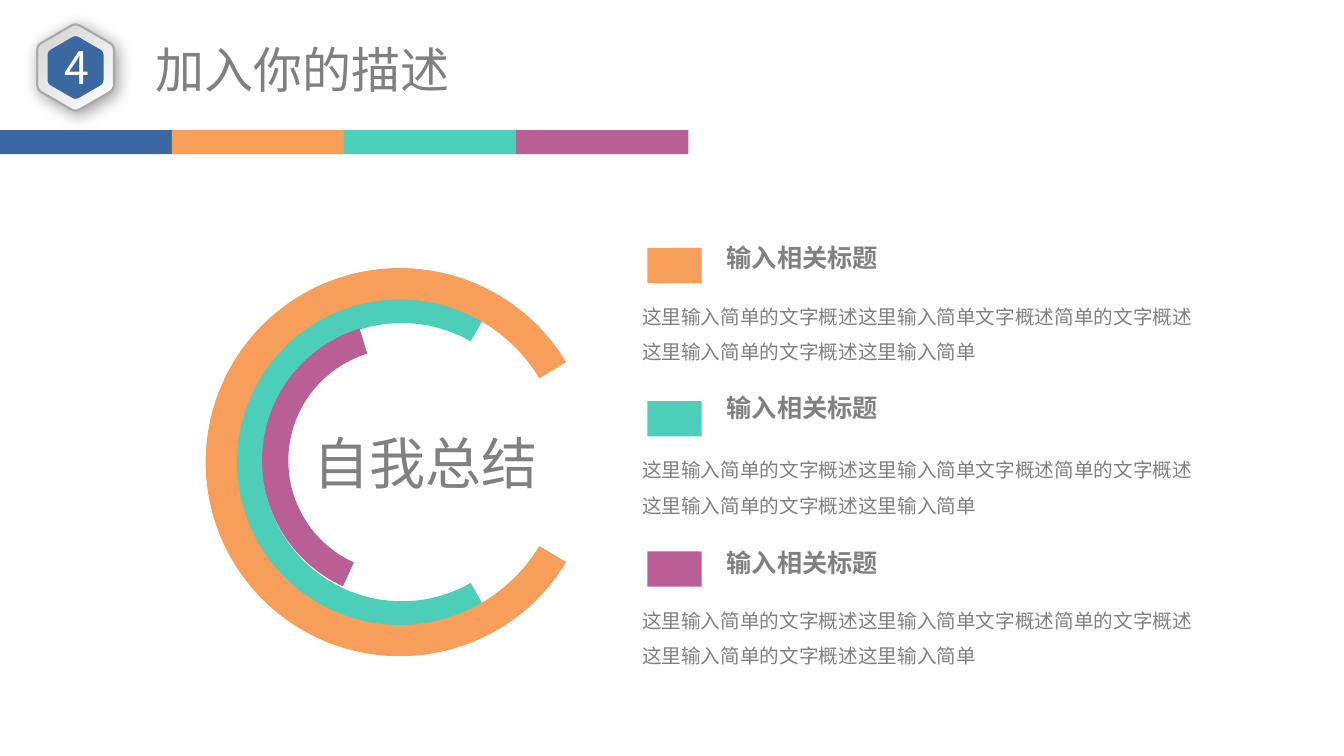
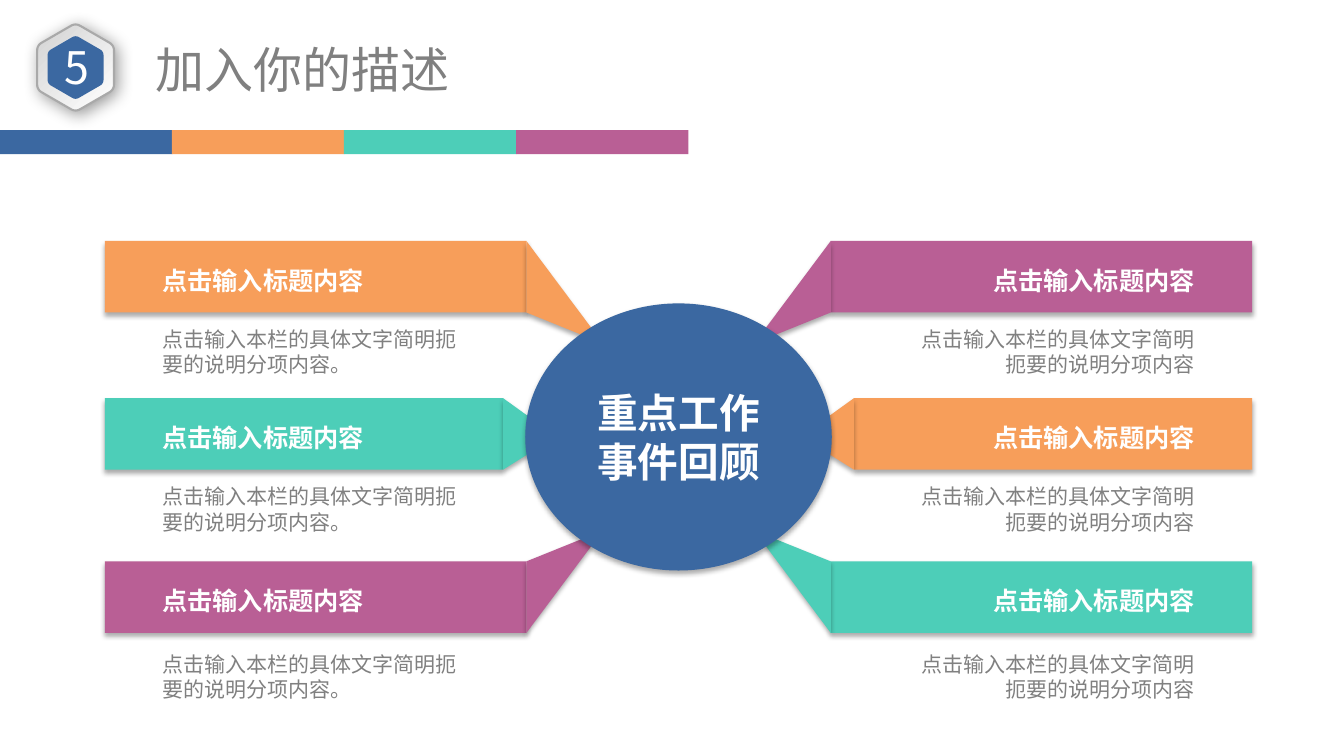
import math
from lxml import etree
from pptx import Presentation
from pptx.dml.color import RGBColor
from pptx.enum import shapes, text
from pptx.oxml.ns import qn
from pptx.util import Inches, Pt

BLUE, ORANGE, TEAL, PURPLE = "3B68A1", "F79E5A", "4DCEB8", "B95F95"
GREY, WHITE = "808080", "FFFFFF"
FONT = "Noto Sans CJK SC"
SOFT_SHADOW = (32, 3.5, 2.2, 90)
BADGE_SHADOW = (40, 12, 3, 45)
LEFT, CENTER, RIGHT = text.PP_ALIGN.LEFT, text.PP_ALIGN.CENTER, text.PP_ALIGN.RIGHT
TOP, MIDDLE = text.MSO_ANCHOR.TOP, text.MSO_ANCHOR.MIDDLE
rgb = RGBColor.from_string


def finish(shape, color, shadow=None):
    shape.fill.solid()
    shape.fill.fore_color.rgb = rgb(color)
    shape.line.fill.background()
    shape.shadow.inherit = False
    if shadow:
        opacity, blur, distance, angle = shadow
        effects = shape._element.spPr.find(qn("a:effectLst"))
        outer = etree.SubElement(effects, qn("a:outerShdw"), blurRad=str(Pt(blur)),
                                 dist=str(Pt(distance)), dir=str(angle * 60000), rotWithShape="0")
        black = etree.SubElement(outer, qn("a:srgbClr"), val="000000")
        etree.SubElement(black, qn("a:alpha"), val=str(opacity * 1000))


def write(box, lines, size, color, bold=False, align=LEFT, anchor=TOP, margins=(0.1, 0.05), spacing=None):
    frame = box.text_frame
    frame.word_wrap = True
    frame.vertical_anchor = anchor
    frame.margin_left = frame.margin_right = Inches(margins[0])
    frame.margin_top = frame.margin_bottom = Inches(margins[1])
    for index, line in enumerate(lines):
        para = frame.add_paragraph() if index else frame.paragraphs[0]
        para.text = line
        para.alignment = align
        if spacing:
            para.line_spacing = spacing
        para.font.size = Pt(size)
        para.font.bold = bold
        para.font.color.rgb = rgb(color)
        para.font.name = FONT
        etree.SubElement(para.font._rPr, qn("a:ea"), typeface=FONT)


deck = Presentation()
deck.slide_width, deck.slide_height = Inches(13.33), Inches(7.5)
pages = []

for number in "45":
    page = deck.slides.add_slide(deck.slide_layouts[6])
    pages.append(page)
    for index, color in enumerate((BLUE, ORANGE, TEAL, PURPLE)):
        band = page.shapes.add_shape(shapes.MSO_SHAPE.RECTANGLE, Inches(index * 1.706), Inches(1.29),
                                     Inches(1.71), Inches(0.24))
        finish(band, color)
    title = page.shapes.add_textbox(Inches(1.1), Inches(0.35), Inches(3.8), Inches(0.67))
    write(title, ["加入你的描述"], 35, GREY, align=CENTER, anchor=MIDDLE, margins=(0.13, 0.06))

    hexagons = []
    for radius in (0.44, 0.32):
        corners = [(0.75 + radius * math.sin(math.radians(60 * side)),
                    0.67 - radius * math.cos(math.radians(60 * side))) for side in range(6)]
        outline = []
        for side, corner in enumerate(corners):
            before, after = corners[side - 1], corners[(side + 1) % 6]
            for step in range(7):
                enter, leave = 0.12 * (1 - step / 6) ** 2, 0.12 * (step / 6) ** 2
                outline.append([Inches(c + enter * (b - c) + leave * (a - c))
                                for b, c, a in zip(before, corner, after)])
        builder = page.shapes.build_freeform(*outline[0])
        builder.add_line_segments(outline[1:], close=True)
        hexagons.append(builder.convert_to_shape())
    rim, core = hexagons
    finish(rim, WHITE, BADGE_SHADOW)
    rim.fill.gradient()
    rim.fill.gradient_angle = 315
    for stop, color in zip(rim.fill.gradient_stops, ("D3D3D3", WHITE)):
        stop.color.rgb = rgb(color)
    rim.line.color.rgb = rgb("A9A9A9")
    rim.line.width = Pt(1.5)
    finish(core, BLUE)
    label = page.shapes.add_textbox(Inches(0.42), Inches(0.35), Inches(0.69), Inches(0.61))
    write(label, [number], 32, WHITE, align=CENTER, margins=(0.07, 0.04))

summary, review = pages

for left, top, size, start, end, thickness, color in (
        (2.33, 2.93, 3.31, 60.3, 299.7, 0.275, TEAL),
        (2.6, 3.2, 2.74, 114.5, 252.9, 0.26, PURPLE),
        (2.04, 2.66, 3.85, 31, 329, 0.31, ORANGE)):
    arc = summary.shapes.add_shape(shapes.MSO_SHAPE.BLOCK_ARC, Inches(left), Inches(top),
                                   Inches(size), Inches(size))
    arc.adjustments[0] = start * 0.6
    arc.adjustments[1] = end * 0.6
    arc.adjustments[2] = thickness / size
    finish(arc, color)
caption = summary.shapes.add_textbox(Inches(3.01), Inches(4.2), Inches(3.04), Inches(0.77))
write(caption, ["自我总结"], 40, GREY)

for top, heading_top, color in ((2.46, 2.35, ORANGE), (3.98, 3.84, TEAL), (5.47, 5.38, PURPLE)):
    marker = summary.shapes.add_shape(shapes.MSO_SHAPE.RECTANGLE, Inches(6.42), Inches(top),
                                      Inches(0.54), Inches(0.35))
    finish(marker, color)
    body = summary.shapes.add_textbox(Inches(6.27), Inches(top + 0.4), Inches(5.73), Inches(0.75))
    write(body, ["这里输入简单的文字概述这里输入简单文字概述简单的文字概述这里输入简单的文字概述这里输入简单"],
          14, GREY, spacing=1.5)
    heading = summary.shapes.add_textbox(Inches(7.11), Inches(heading_top), Inches(3.04), Inches(0.4))
    write(heading, ["输入相关标题"], 18, GREY, bold=True)

MIRROR = 13.46
OUTER = 1.04
rows = (
    (2.39, 3.4, ORANGE, PURPLE, [(5.22, 2.39), (5.87, 3.26), (5.79, 3.33), (5.22, 3.1)]),
    (3.95, 4.96, TEAL, ORANGE, [(4.99, 3.95), (5.42, 4.26), (5.42, 4.39), (4.99, 4.66)]),
    (5.57, 6.62, PURPLE, TEAL, [(5.22, 6.28), (5.87, 5.41), (5.79, 5.34), (5.22, 5.57)]),
)
for top, detail_top, left_color, right_color, fold_points in rows:
    inner = fold_points[0][0]
    sides = (
        (left_color, False, LEFT, 2.97, "点击输入本栏的具体文字简明扼要的说明分项内容。"),
        (right_color, True, RIGHT, 2.82, "点击输入本栏的具体文字简明扼要的说明分项内容"),
    )
    for color, mirrored, align, detail_width, detail_text in sides:
        banner_left = MIRROR - inner if mirrored else OUTER
        banner = review.shapes.add_shape(shapes.MSO_SHAPE.RECTANGLE, Inches(banner_left), Inches(top),
                                         Inches(inner - OUTER), Inches(0.71))
        finish(banner, color, SOFT_SHADOW)
        points = [(Inches(MIRROR - x if mirrored else x), Inches(y)) for x, y in fold_points]
        builder = review.shapes.build_freeform(*points[0])
        builder.add_line_segments(points[1:], close=True)
        finish(builder.convert_to_shape(), color, SOFT_SHADOW)
        for box_top, width, height, line, size, ink, bold, anchor in (
                (top + 0.17, 3.28, 0.42, "点击输入标题内容", 18, WHITE, True, TOP),
                (detail_top, detail_width, 0.18, detail_text, 15, GREY, False, MIDDLE)):
            box_left = MIRROR - 1.61 - width if mirrored else 1.61
            box = review.shapes.add_textbox(Inches(box_left), Inches(box_top), Inches(width), Inches(height))
            write(box, [line], size, ink, bold=bold, align=align, anchor=anchor, margins=(0, 0.07))

hub = review.shapes.add_shape(shapes.MSO_SHAPE.OVAL, Inches(5.21), Inches(3.01), Inches(3.04), Inches(2.65))
finish(hub, BLUE, SOFT_SHADOW)
write(hub, ["重点工作", "事件回顾"], 29, WHITE, bold=True, align=CENTER, anchor=MIDDLE)

deck.save("out.pptx")
